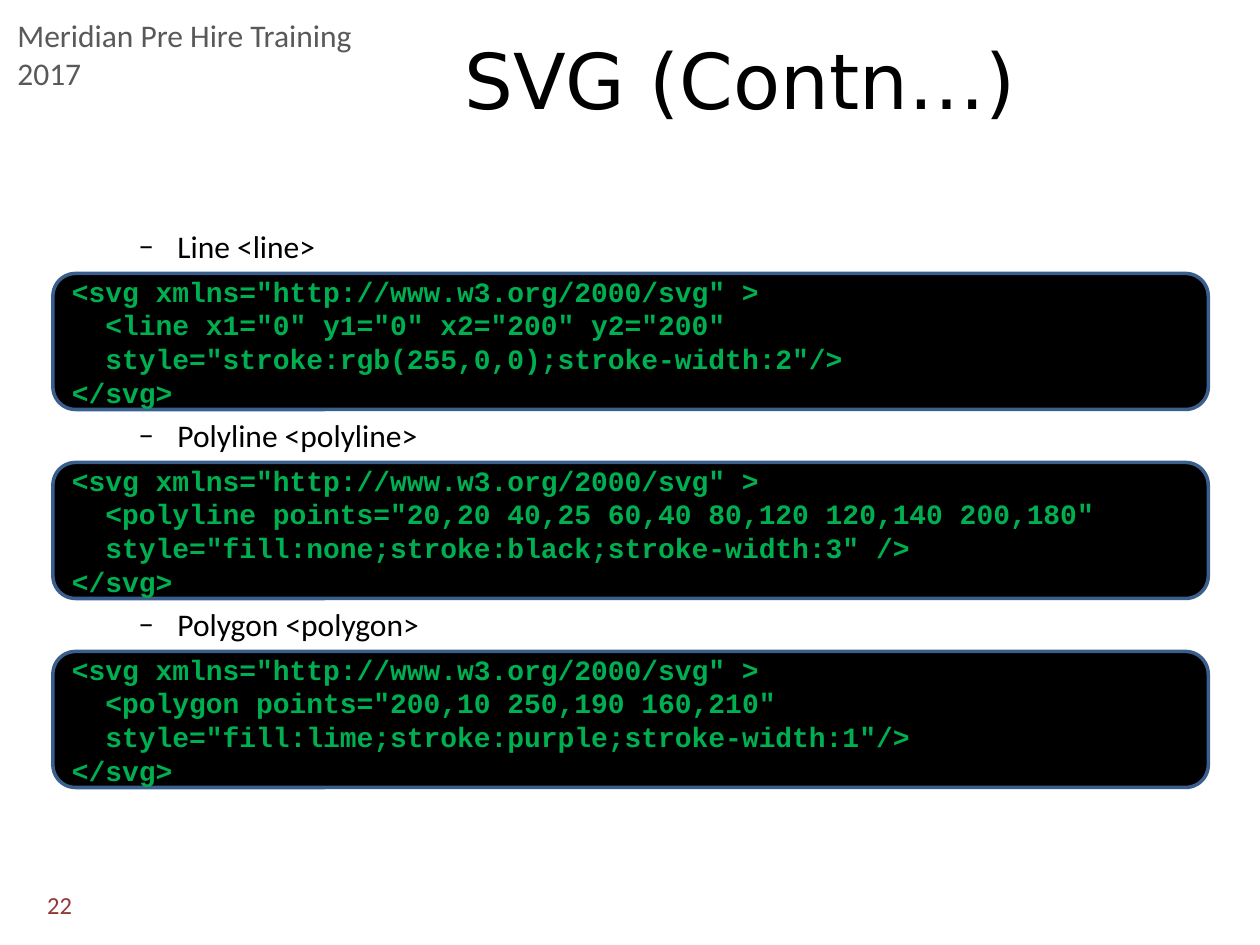
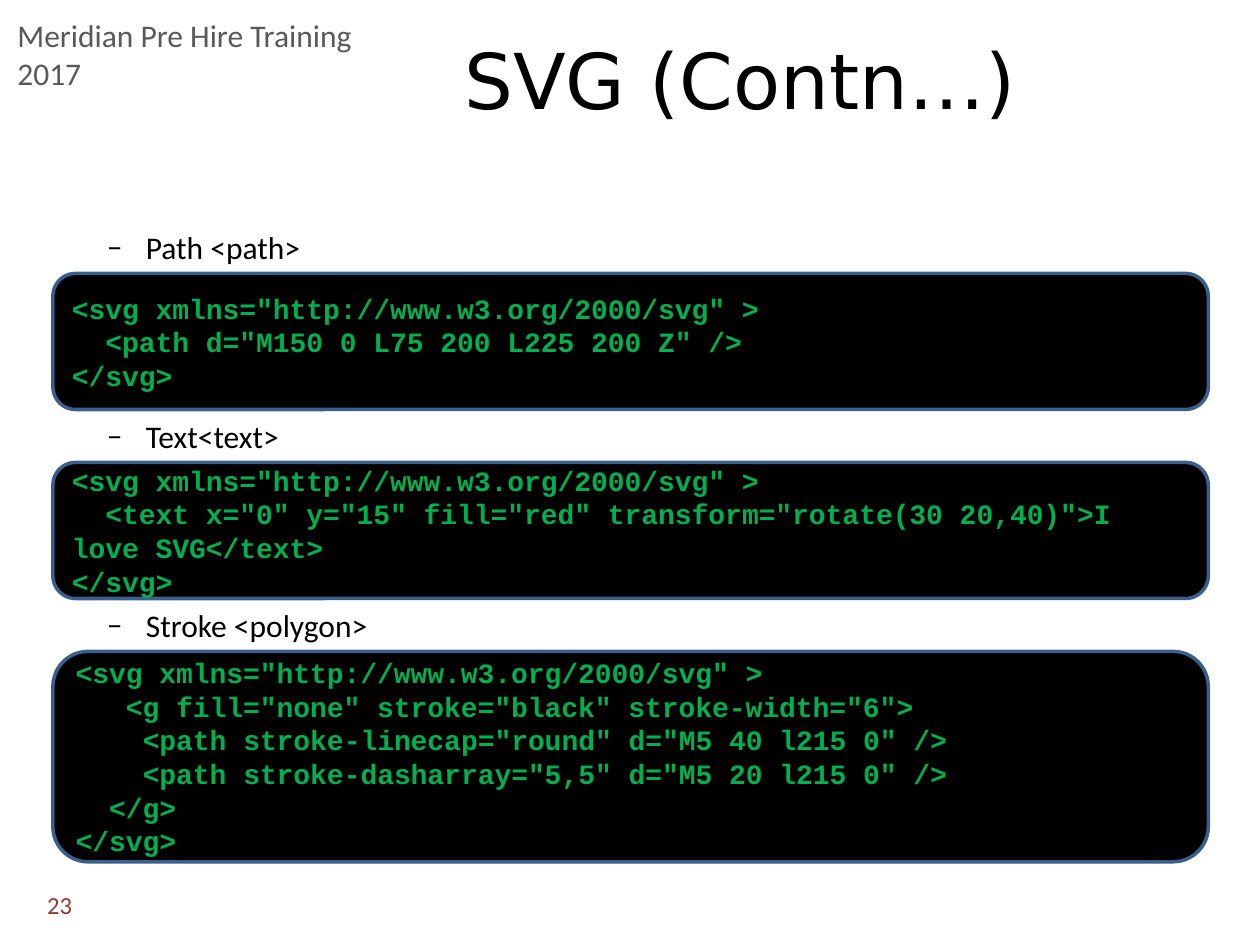
from lxml import etree
from pptx import Presentation
from pptx.dml.color import RGBColor
from pptx.enum.shapes import MSO_SHAPE
from pptx.enum.text import MSO_ANCHOR, PP_ALIGN
from pptx.oxml.ns import qn
from pptx.util import Inches, Pt

ROUND_RECT = MSO_SHAPE.ROUNDED_RECTANGLE
TOP, MIDDLE = MSO_ANCHOR.TOP, MSO_ANCHOR.MIDDLE
LEFT, CENTER, RIGHT = PP_ALIGN.LEFT, PP_ALIGN.CENTER, PP_ALIGN.RIGHT

HEADER = "Meridian Pre Hire Training 2017"
TITLE = "SVG (Contn…)"
SVG_OPEN = (0, '<svg xmlns="http://www.w3.org/2000/svg" >')
SVG_CLOSE = (0, "</svg>")

SLIDES = [
    {"number": 22, "heading_at": (0.5, 1.75), "examples": [
        ("Line <line>", 1.08, [
            (2, '<line x1="0" y1="0" x2="200" y2="200"'),
            (2, 'style="stroke:rgb(255,0,0);stroke-width:2"/>'),
        ]),
        ("Polyline <polyline>", 1.08, [
            (2, '<polyline points="20,20 40,25 60,40 80,120 120,140 200,180"'),
            (2, 'style="fill:none;stroke:black;stroke-width:3" />'),
        ]),
        ("Polygon <polygon>", 1.08, [
            (2, '<polygon points="200,10 250,190 160,210"'),
            (2, 'style="fill:lime;stroke:purple;stroke-width:1"/>'),
        ]),
    ]},
    {"number": 23, "heading_at": (0.25, 1.76), "examples": [
        ("Path <path>", 1.08, [
            (2, '<path d="M150 0 L75 200 L225 200 Z" />'),
        ]),
        ("Text<text>", 1.08, [
            (2, '<text x="0" y="15" fill="red" transform="rotate(30 20,40)">I love SVG</text>'),
        ]),
        ("Stroke <polygon>", 1.67, [
            (3, '<g fill="none" stroke="black" stroke-width="6">'),
            (4, '<path stroke-linecap="round" d="M5 40 l215 0" />'),
            (4, '<path stroke-dasharray="5,5" d="M5 20 l215 0" />'),
            (2, "</g>"),
        ]),
    ]},
]

CODE_LEFT, CODE_TOP, CODE_WIDTH = 0.42, 2.17, 9.17
PITCH = 1.5
CODE_SIZE = 16
CHAR_WIDTH = Pt(CODE_SIZE * 0.6)

HEADER_STYLE = ("Calibri", 18, "595959")
TITLE_STYLE = ("DejaVu Sans", 44, "000000")
HEADING_STYLE = ("Calibri", 18, "000000")
NUMBER_STYLE = ("Calibri", 14, "953735")
CODE_STYLE = ("Courier New", CODE_SIZE, "00B050", True)


def color(value):
    return RGBColor.from_string(value)


def add_run(p, text, font, size, fill, bold=False):
    r = p.add_run()
    r.text = text
    r.font.name = font
    r.font.size = Pt(size)
    r.font.bold = bold
    r.font.color.rgb = color(fill)


def add_text(s, box, text, style, align=LEFT, anchor=TOP, wrap=True):
    tf = s.shapes.add_textbox(*map(Inches, box)).text_frame
    tf.word_wrap = wrap
    tf.vertical_anchor = anchor
    p = tf.paragraphs[0]
    p.alignment = align
    add_run(p, text, *style)
    return p


def set_indent(p, margin, first):
    pPr = p._p.get_or_add_pPr()
    pPr.set("marL", str(int(margin)))
    pPr.set("indent", str(int(first)))
    return pPr


def add_heading(s, left, top, text):
    p = add_text(s, (left, top, 9, 0.4), text, HEADING_STYLE)
    pPr = set_indent(p, Inches(0.81), Inches(-0.31))
    etree.SubElement(pPr, qn("a:buFont")).set("typeface", "Calibri")
    etree.SubElement(pPr, qn("a:buChar")).set("char", "–")


def add_code(s, top, height, lines):
    sp = s.shapes.add_shape(ROUND_RECT, *map(Inches, (CODE_LEFT, top, CODE_WIDTH, height)))
    sp.shadow.inherit = False
    sp.fill.solid()
    sp.fill.fore_color.rgb = color("000000")
    sp.line.color.rgb = color("3A5F8C")
    sp.line.width = Pt(2)
    tf = sp.text_frame
    tf.word_wrap = True
    tf.vertical_anchor = MIDDLE
    for i, (indent, text) in enumerate(lines):
        p = tf.add_paragraph() if i else tf.paragraphs[0]
        p.alignment = LEFT
        set_indent(p, 0, indent * CHAR_WIDTH)
        add_run(p, text, *CODE_STYLE)


def add_title(s):
    sp = s.shapes.title
    sp.left, sp.top, sp.width, sp.height = map(Inches, (1.75, 0, 8.25, 1.25))
    tf = sp.text_frame
    tf.vertical_anchor = MIDDLE
    p = tf.paragraphs[0]
    p.alignment = CENTER
    add_run(p, TITLE, *TITLE_STYLE)


def build_slide(prs, content):
    s = prs.slides.add_slide(prs.slide_layouts[5])
    add_text(s, (0.04, 0.08, 3.34, 0.4), HEADER, HEADER_STYLE, wrap=False)
    add_title(s)
    add_text(s, (0.17, 7.03, 0.5, 0.3), str(content["number"]), NUMBER_STYLE, RIGHT, MIDDLE)
    left, top = content["heading_at"]
    for i, (heading, height, lines) in enumerate(content["examples"]):
        add_heading(s, left, top + i * PITCH, heading)
        add_code(s, CODE_TOP + i * PITCH, height, [SVG_OPEN, *lines, SVG_CLOSE])


def main():
    prs = Presentation()
    prs.slide_width, prs.slide_height = Inches(10), Inches(7.5)
    for content in SLIDES:
        build_slide(prs, content)
    prs.save("out.pptx")


if __name__ == "__main__":
    main()
